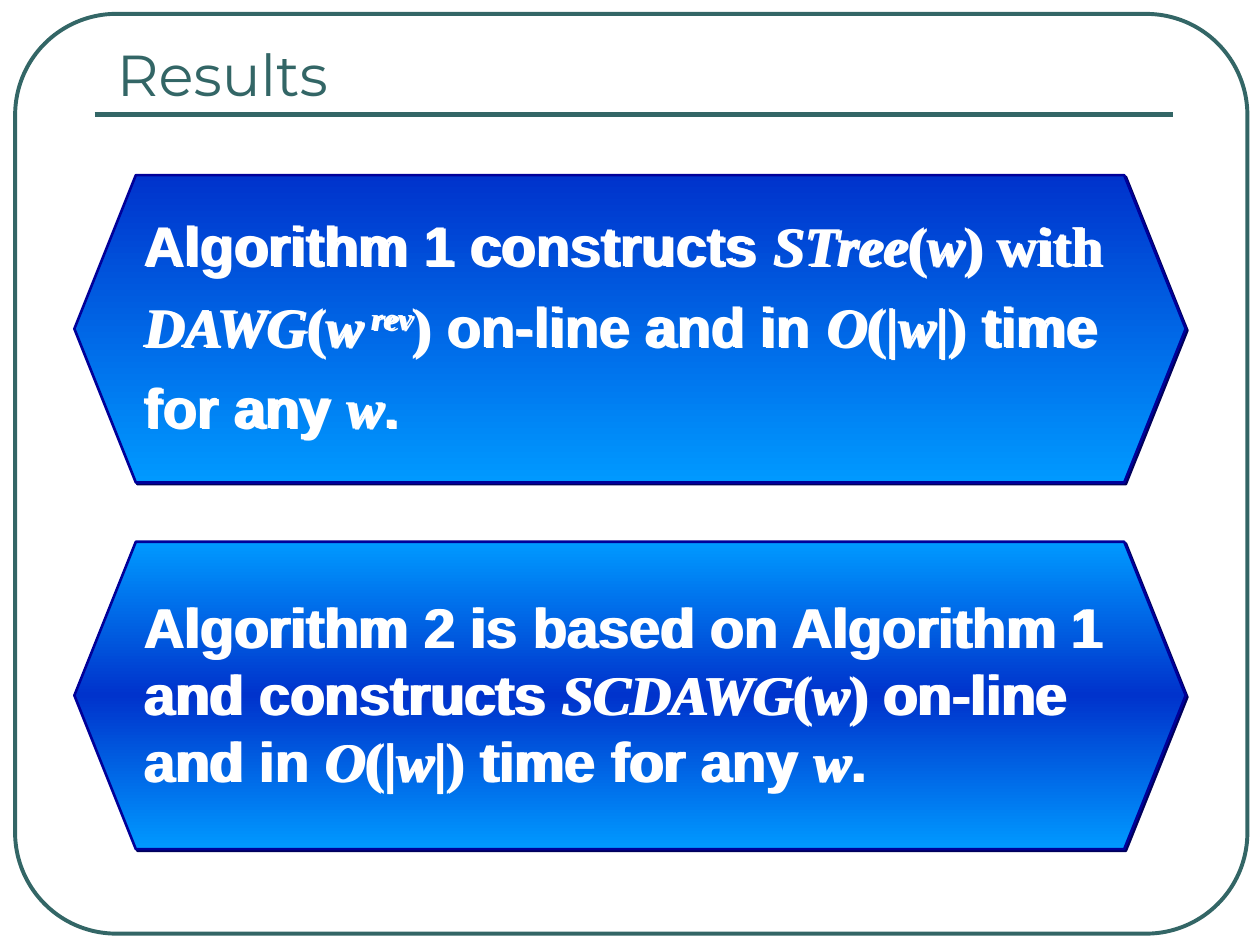
import copy

import pptx
import pptx.dml.color
import pptx.enum.shapes
import pptx.enum.text
import pptx.oxml
import pptx.oxml.ns
import pptx.util
from pptx.dml.color import RGBColor

TEAL = RGBColor(0x33, 0x66, 0x66)
WHITE = RGBColor(0xFF, 0xFF, 0xFF)
DEEP_BLUE = RGBColor(0x00, 0x33, 0xCC)
SKY_BLUE = RGBColor(0x00, 0x99, 0xFF)
NAVY = RGBColor(0x00, 0x00, 0x99)
SHADOW = RGBColor(0x00, 0x00, 0x5B)

WIDTH, HEIGHT = pptx.util.Inches(10), pptx.util.Inches(7.5)

# Run styles: font, italic, superscript
SANS = ("Arial", False, False)
SERIF = ("Times New Roman", False, False)
MATH = ("Times New Roman", True, False)
POWER = ("Times New Roman", True, True)
HEADING = ("Montserrat", False, False)

LINEAR_TIME = [("O", MATH), ("(|", SERIF), ("w", MATH), ("|)", SERIF)]
ANY_WORD = [("w", MATH), (".", SANS)]

RESULT_1 = [
    [("Algorithm 1 constructs ", SANS), ("STree", MATH), ("(", SERIF),
     ("w", MATH), (") with", SERIF)],
    [("DAWG", MATH), ("(", SERIF), ("w", MATH), (" rev", POWER), (")", SERIF),
     (" on-line and in ", SANS), *LINEAR_TIME, (" time", SANS)],
    [("for any ", SANS), *ANY_WORD],
]
RESULT_2 = [
    [("Algorithm 2 is based on Algorithm 1 and constructs ", SANS),
     ("SCDAWG", MATH), ("(", SERIF), ("w", MATH), (")", SERIF),
     (" on-line and in ", SANS), *LINEAR_TIME, (" time for any ", SANS),
     *ANY_WORD],
]


def place(left, top, width, height):
    """Turn percentages of the slide into lengths."""
    return (int(WIDTH * left / 100), int(HEIGHT * top / 100),
            int(WIDTH * width / 100), int(HEIGHT * height / 100))


def add_text(shapes, paragraphs, area, *, size, color, bold=False, before=0,
             anchor=pptx.enum.text.MSO_ANCHOR.TOP,
             fit=pptx.enum.text.MSO_AUTO_SIZE.NONE):
    frame = shapes.add_textbox(*place(*area)).text_frame
    frame.word_wrap = True
    frame.auto_size = fit
    frame.vertical_anchor = anchor
    for index, spans in enumerate(paragraphs):
        para = frame.add_paragraph() if index else frame.paragraphs[0]
        para.space_before = pptx.util.Pt(before)
        for text, (font, italic, raised) in spans:
            span = para.add_run()
            span.text = text
            span.font.name = font
            span.font.size = pptx.util.Pt(size)
            span.font.bold = bold
            span.font.italic = italic
            span.font.color.rgb = color
            if raised:
                span.font._element.set("baseline", "30000")


def set_gradient(shape, colors):
    """Spread the colours evenly from top to bottom."""
    shape.fill.gradient()
    shape.fill.gradient_angle = 270
    stop_list = shape._element.spPr.find(".//" + pptx.oxml.ns.qn("a:gsLst"))
    for _ in colors[2:]:
        stop_list.append(copy.deepcopy(stop_list[-1]))
    for index, (stop, color) in enumerate(zip(shape.fill.gradient_stops, colors)):
        stop.position = index / (len(colors) - 1)
        stop.color.rgb = color


def set_shadow(shape):
    shape.shadow.inherit = False
    effects = shape._element.spPr.find(pptx.oxml.ns.qn("a:effectLst"))
    effects.append(pptx.oxml.parse_xml(
        f'<a:outerShdw {pptx.oxml.ns.nsdecls("a")} dist="{pptx.util.Pt(1.4)}" '
        f'dir="2700000" algn="ctr" rotWithShape="0">'
        f'<a:srgbClr val="{SHADOW}"/></a:outerShdw>'))


def add_frame(slide):
    # Rounded border
    border = slide.shapes.add_shape(
        pptx.enum.shapes.MSO_SHAPE.ROUNDED_RECTANGLE,
        *place(1.2, 1.47, 97.8, 97.33))
    border.adjustments[0] = 0.11
    border.fill.background()
    border.line.color.rgb = TEAL
    border.line.width = pptx.util.Pt(2.25)
    border.shadow.inherit = False

    # Rule under the title
    left, top, right, bottom = place(7.5, 12.13, 93.1, 12.13)
    rule = slide.shapes.add_connector(
        pptx.enum.shapes.MSO_CONNECTOR.STRAIGHT, left, top, right, bottom)
    rule.line.color.rgb = TEAL
    rule.line.width = pptx.util.Pt(3)
    rule._element.spPr.append(pptx.oxml.parse_xml(
        f'<a:effectLst {pptx.oxml.ns.nsdecls("a")}/>'))


def add_result(slide, paragraphs, top, colors, text_areas):
    group = slide.shapes.add_group_shape()
    panel = group.shapes.add_shape(
        pptx.enum.shapes.MSO_SHAPE.HEXAGON, *place(5.9, top, 88.2, 32.53))
    panel.adjustments[0] = 0.2
    set_gradient(panel, colors)
    panel.line.color.rgb = NAVY
    panel.line.width = pptx.util.Pt(1.5)
    set_shadow(panel)

    # Two slightly offset layers thicken the lettering
    for area in text_areas:
        add_text(group.shapes, paragraphs, area, size=32, color=WHITE,
                 bold=True, before=8,
                 fit=pptx.enum.text.MSO_AUTO_SIZE.SHAPE_TO_FIT_TEXT)


def main():
    deck = pptx.Presentation()
    deck.slide_width, deck.slide_height = WIDTH, HEIGHT
    slide = deck.slides.add_slide(deck.slide_layouts[6])

    add_frame(slide)
    add_text(slide.shapes, [[("Results", HEADING)]], (8.3, 2.8, 84.2, 9.33),
             size=33, color=TEAL, anchor=pptx.enum.text.MSO_ANCHOR.BOTTOM)
    add_result(slide, RESULT_1, 18.53, [DEEP_BLUE, SKY_BLUE],
               [(10.6, 21.73, 81.9, 25.73), (10.4, 21.6, 80.6, 25.73)])
    add_result(slide, RESULT_2, 57.33, [SKY_BLUE, DEEP_BLUE, SKY_BLUE],
               [(left, 62, 79.5, 22.67) for left in (10.6, 10.4)])

    deck.save("out.pptx")


if __name__ == "__main__":
    main()
